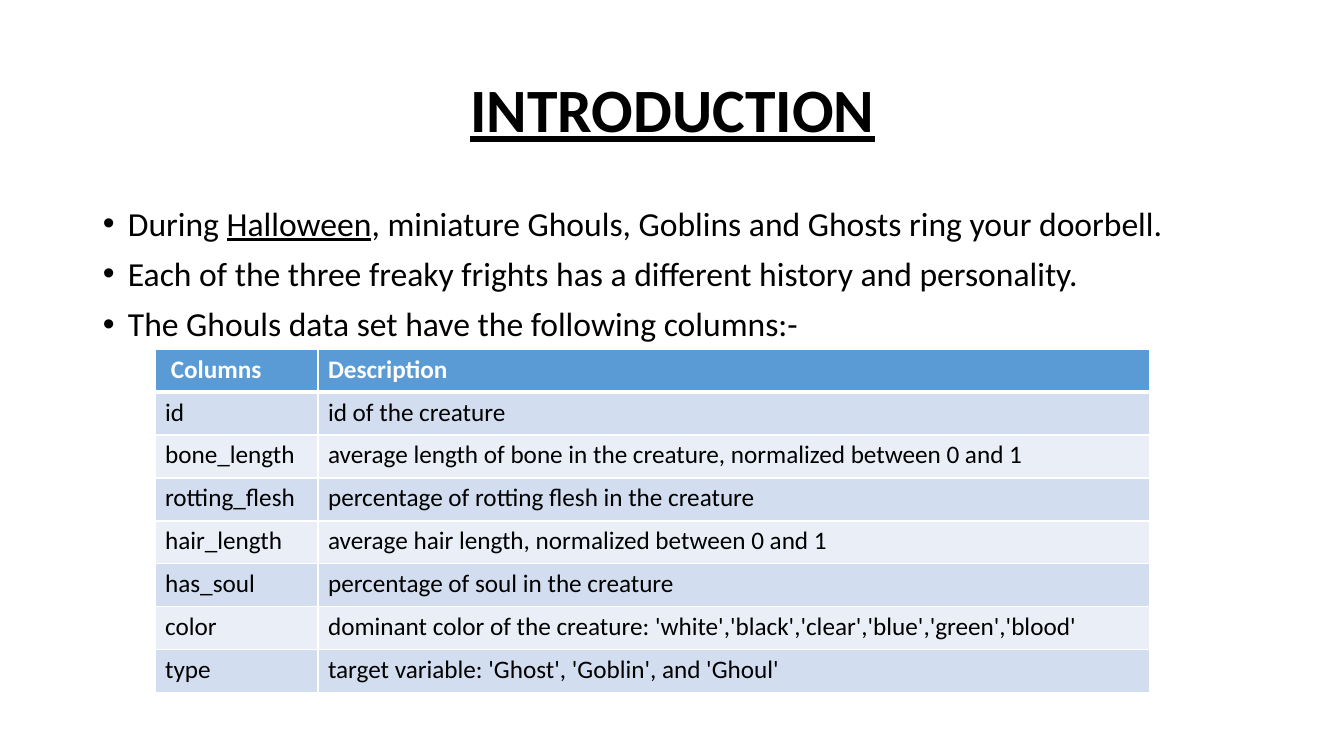
import lxml.etree
import pptx
import pptx.dml.color
import pptx.enum.text
import pptx.oxml.ns
import pptx.util

EMU_PER_PX = 914400 / 100.8
FONT = "Calibri"
COLOURS = {
    "text": "000000",
    "paper": "FFFFFF",
    "header": "5B9BD5",
    "odd_row": "D2DEEF",
    "even_row": "EAEFF7",
}

BULLETS = [
    [("During\u00a0", False), ("Halloween", True),
     (", miniature Ghouls, Goblins and Ghosts ring your doorbell.", False)],
    [("Each of the three freaky frights\u00a0has a different history and personality.", False)],
    [("The Ghouls data set have the following columns:-", False)],
]
DATA_COLUMNS = [
    (" Columns", "Description"),
    ("id", "id of the creature"),
    ("bone_length", "average length of bone in the creature, normalized between 0 and 1"),
    ("rotting_flesh", "percentage of rotting flesh in the creature"),
    ("hair_length", "average hair length, normalized between 0 and 1"),
    ("has_soul", "percentage of soul in the creature"),
    ("color", "dominant color of the creature: 'white','black','clear','blue','green','blood'"),
    ("type", "target variable: 'Ghost', 'Goblin', and 'Ghoul'"),
]
COLUMN_WIDTHS = (163, 832)
ROW_HEIGHT = 43


def px(length):
    return pptx.util.Emu(round(length * EMU_PER_PX))


def colour(name):
    return pptx.dml.color.RGBColor.from_string(COLOURS[name])


def set_values(target, values):
    for name, value in values.items():
        setattr(target, name, value)


def add_span(para, text, size, colour_name="text", **values):
    span = para.add_run()
    span.text = text
    set_values(span.font, {"name": FONT, "size": pptx.util.Pt(size), **values})
    span.font.color.rgb = colour(colour_name)


def add_text_box(page, left, top, width, height, anchor):
    box = page.shapes.add_textbox(px(left), px(top), px(width), px(height))
    set_values(box.text_frame, {"word_wrap": True, "vertical_anchor": anchor})
    return box.text_frame


def add_title(page, text):
    frame = add_text_box(page, 93, 40, 1159, 146, pptx.enum.text.MSO_ANCHOR.MIDDLE)
    para = frame.paragraphs[0]
    set_values(para, {"alignment": pptx.enum.text.PP_ALIGN.CENTER, "line_spacing": 0.9})
    add_span(para, text, 44, bold=True, underline=True)


def add_bullet_mark(para, indent):
    properties = para._p.get_or_add_pPr()
    properties.set("marL", str(px(indent)))
    properties.set("indent", str(-px(indent)))
    font = lxml.etree.SubElement(properties, pptx.oxml.ns.qn("a:buFont"))
    font.set("typeface", "Arial")
    mark = lxml.etree.SubElement(properties, pptx.oxml.ns.qn("a:buChar"))
    mark.set("char", "•")


def add_bullets(page, bullets):
    frame = add_text_box(page, 93, 202, 1159, 480, pptx.enum.text.MSO_ANCHOR.TOP)
    for index, spans in enumerate(bullets):
        para = frame.add_paragraph() if index else frame.paragraphs[0]
        set_values(para, {"line_spacing": 0.9, "space_before": pptx.util.Pt(10)})
        add_bullet_mark(para, 25)
        for text, underlined in spans:
            add_span(para, text, 24, underline=underlined)


def add_borders(cell, top, bottom):
    properties = cell._tc.get_or_add_tcPr()
    for side, width in {"L": 1, "R": 1, "T": top, "B": bottom}.items():
        line = lxml.etree.SubElement(properties, pptx.oxml.ns.qn("a:ln" + side))
        line.set("w", str(pptx.util.Pt(width)))
        fill = lxml.etree.SubElement(line, pptx.oxml.ns.qn("a:solidFill"))
        lxml.etree.SubElement(fill, pptx.oxml.ns.qn("a:srgbClr")).set("val", COLOURS["paper"])


def add_data_table(page, rows):
    frame = page.shapes.add_table(
        len(rows), len(COLUMN_WIDTHS), px(155), px(349),
        px(sum(COLUMN_WIDTHS)), px(ROW_HEIGHT * len(rows)))
    table = frame.table
    for column, width in zip(table.columns, COLUMN_WIDTHS):
        column.width = px(width)
    for row_index, texts in enumerate(rows):
        table.rows[row_index].height = px(ROW_HEIGHT)
        is_header = row_index == 0
        band = "header" if is_header else "odd_row" if row_index % 2 else "even_row"
        for column_index, text in enumerate(texts):
            cell = table.cell(row_index, column_index)
            # The thick rule lies between the header and the first data row
            add_borders(cell, 3 if row_index == 1 else 1, 3 if is_header else 1)
            cell.fill.solid()
            cell.fill.fore_color.rgb = colour(band)
            add_span(cell.text_frame.paragraphs[0], text, 18,
                     "paper" if is_header else "text", bold=is_header)


def main():
    deck = pptx.Presentation()
    set_values(deck, {"slide_width": px(1344), "slide_height": px(756)})
    page = deck.slides.add_slide(deck.slide_layouts[6])

    # Heading and bullet points
    add_title(page, "INTRODUCTION")
    add_bullets(page, BULLETS)

    # Columns of the data set
    add_data_table(page, DATA_COLUMNS)

    deck.save("out.pptx")


if __name__ == "__main__":
    main()
